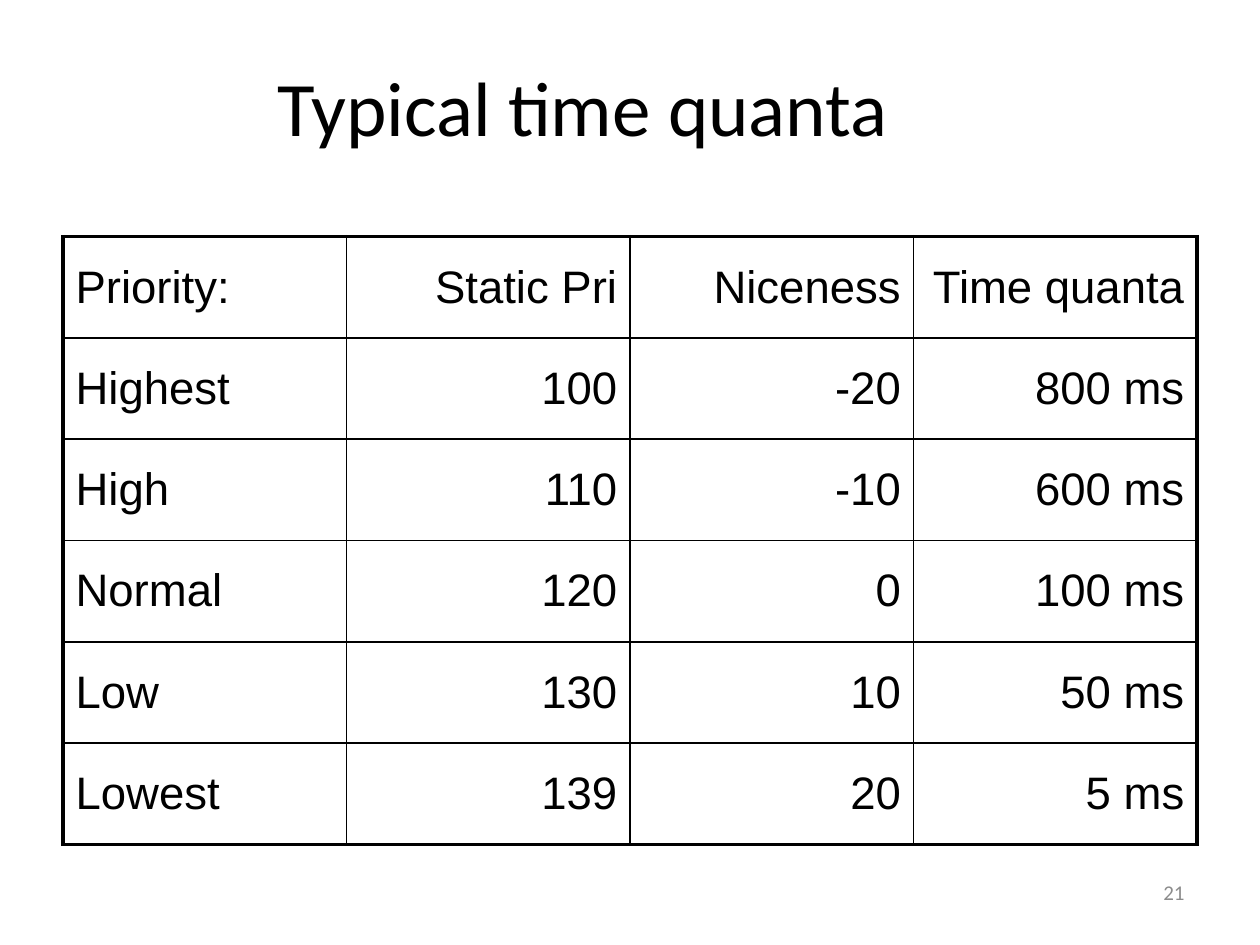
from lxml import etree
from pptx import Presentation
from pptx.dml.color import RGBColor
from pptx.enum.text import MSO_ANCHOR, PP_ALIGN
from pptx.oxml.ns import qn
from pptx.util import Pt

LEFT, CENTER, RIGHT = PP_ALIGN.LEFT, PP_ALIGN.CENTER, PP_ALIGN.RIGHT
MIDDLE = MSO_ANCHOR.MIDDLE
BLACK, GRAY = "000000", "8C8C8C"
THIN, THICK = 1, 2.25


def write(tf, text, size, font="Calibri", color=BLACK, align=LEFT):
    p = tf.paragraphs[0]
    p.alignment = align
    r = p.add_run()
    r.text = text
    r.font.size = Pt(size)
    r.font.name = font
    r.font.color.rgb = RGBColor.from_string(color)


def add_border(cell, side, width):
    ln = etree.SubElement(cell._tc.get_or_add_tcPr(), qn("a:ln" + side),
                          w=str(Pt(width)))
    fill = etree.SubElement(ln, qn("a:solidFill"))
    etree.SubElement(fill, qn("a:srgbClr"), val=BLACK)


prs = Presentation()
prs.slide_width, prs.slide_height = Pt(720), Pt(540)
s = prs.slides.add_slide(prs.slide_layouts[5])

# Slide number
sp = s.shapes.add_textbox(Pt(516), Pt(492), Pt(168), Pt(36))
sp.text_frame.word_wrap = True
sp.text_frame.vertical_anchor = MIDDLE
write(sp.text_frame, "21", 12, color=GRAY, align=RIGHT)

# Title
title = s.shapes.title
title.left, title.top, title.width, title.height = Pt(36), Pt(9.5), Pt(594), Pt(102)
title.text_frame.vertical_anchor = MIDDLE
write(title.text_frame, "Typical time quanta", 44, align=CENTER)

# Table of priorities
rows = [
    ("Priority:", "Static Pri", "Niceness", "Time quanta"),
    ("Highest", "100", "-20", "800 ms"),
    ("High", "110", "-10", "600 ms"),
    ("Normal", "120", "0", "100 ms"),
    ("Low", "130", "10", "50 ms"),
    ("Lowest", "139", "20", "5 ms"),
]
n_rows, n_cols = len(rows), len(rows[0])
table = s.shapes.add_table(n_rows, n_cols, Pt(36), Pt(135.2),
                           Pt(648), Pt(347.4)).table
table.first_row = table.horz_banding = False

for i, row in enumerate(rows):
    table.rows[i].height = Pt(57.9)
    for j, text in enumerate(row):
        cell = table.cell(i, j)
        cell.vertical_anchor = MIDDLE
        write(cell.text_frame, text, 26, font="Arial",
              align=RIGHT if j else LEFT)
        # Thick outer frame, thin inner lines
        outer = {"L": j == 0, "R": j == n_cols - 1,
                 "T": i == 0, "B": i == n_rows - 1}
        for side, is_outer in outer.items():
            add_border(cell, side, THICK if is_outer else THIN)
        cell.fill.background()

prs.save("out.pptx")
